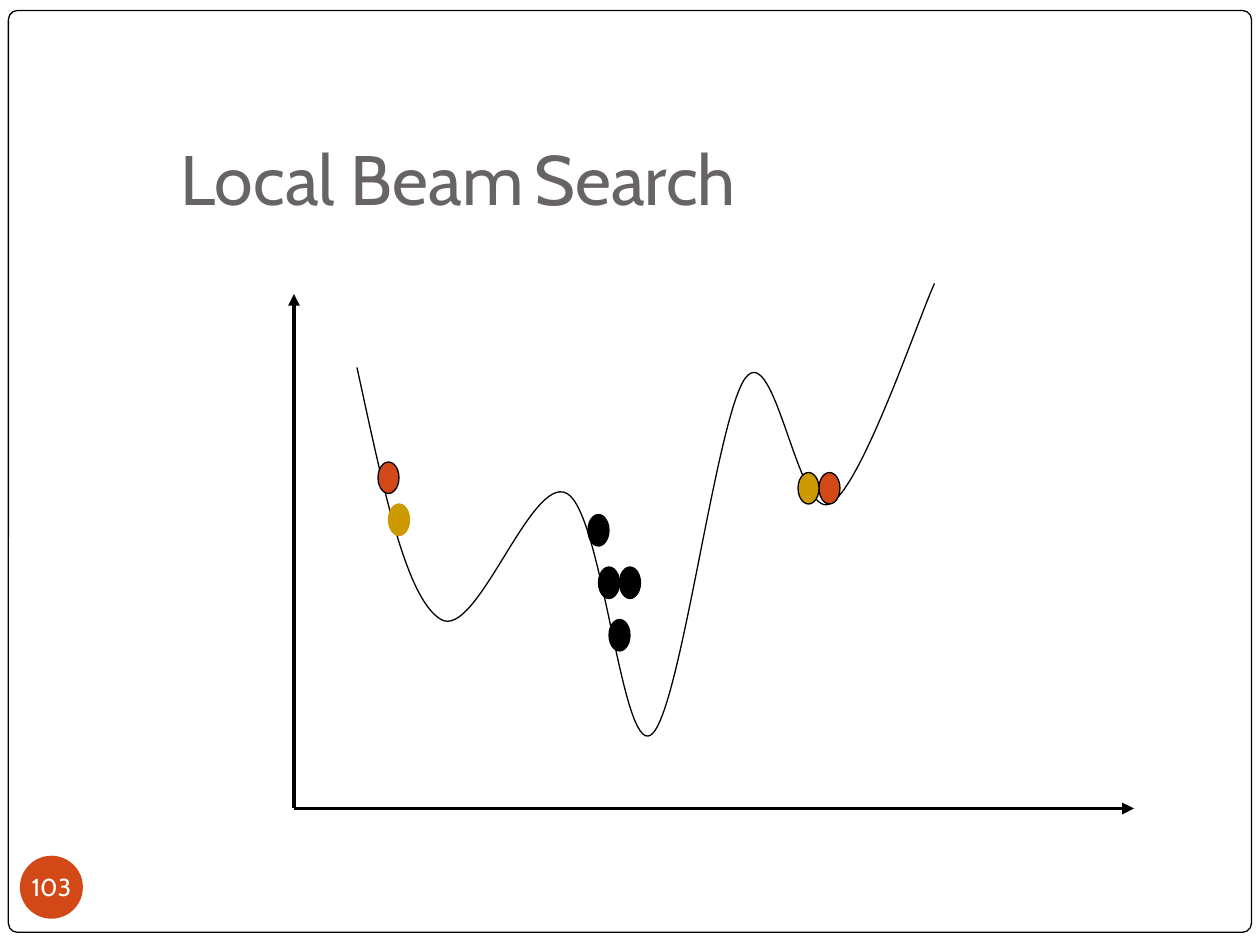
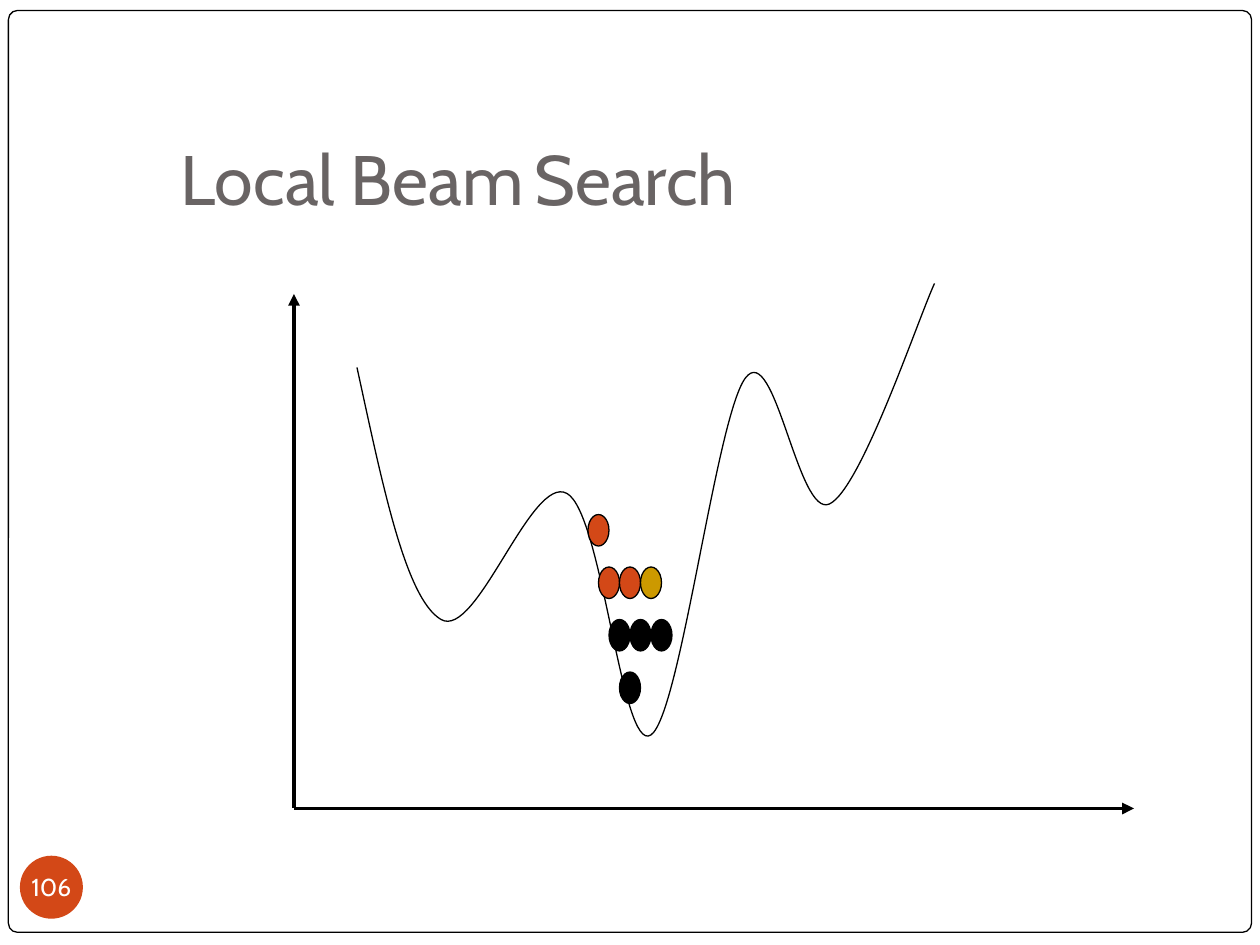
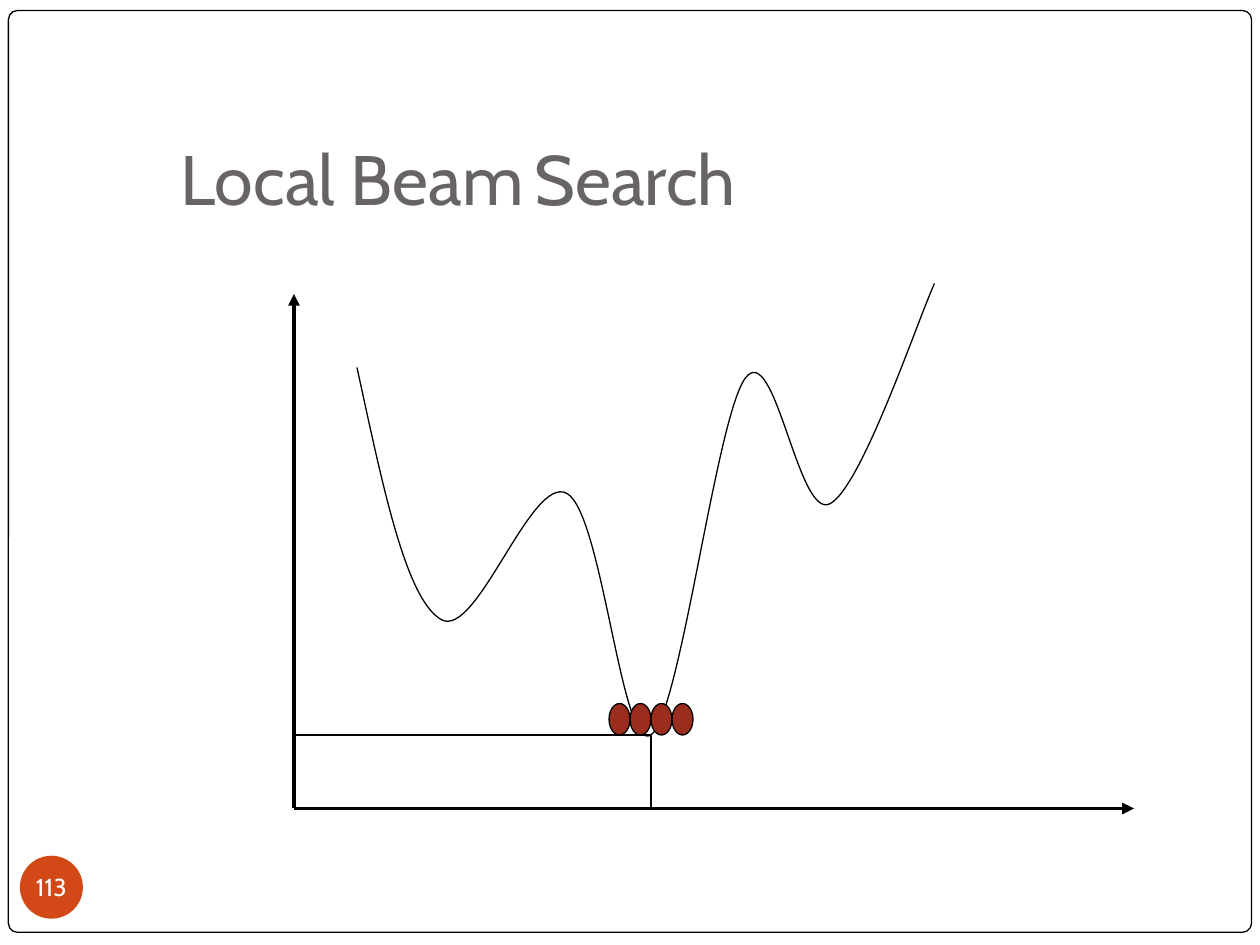
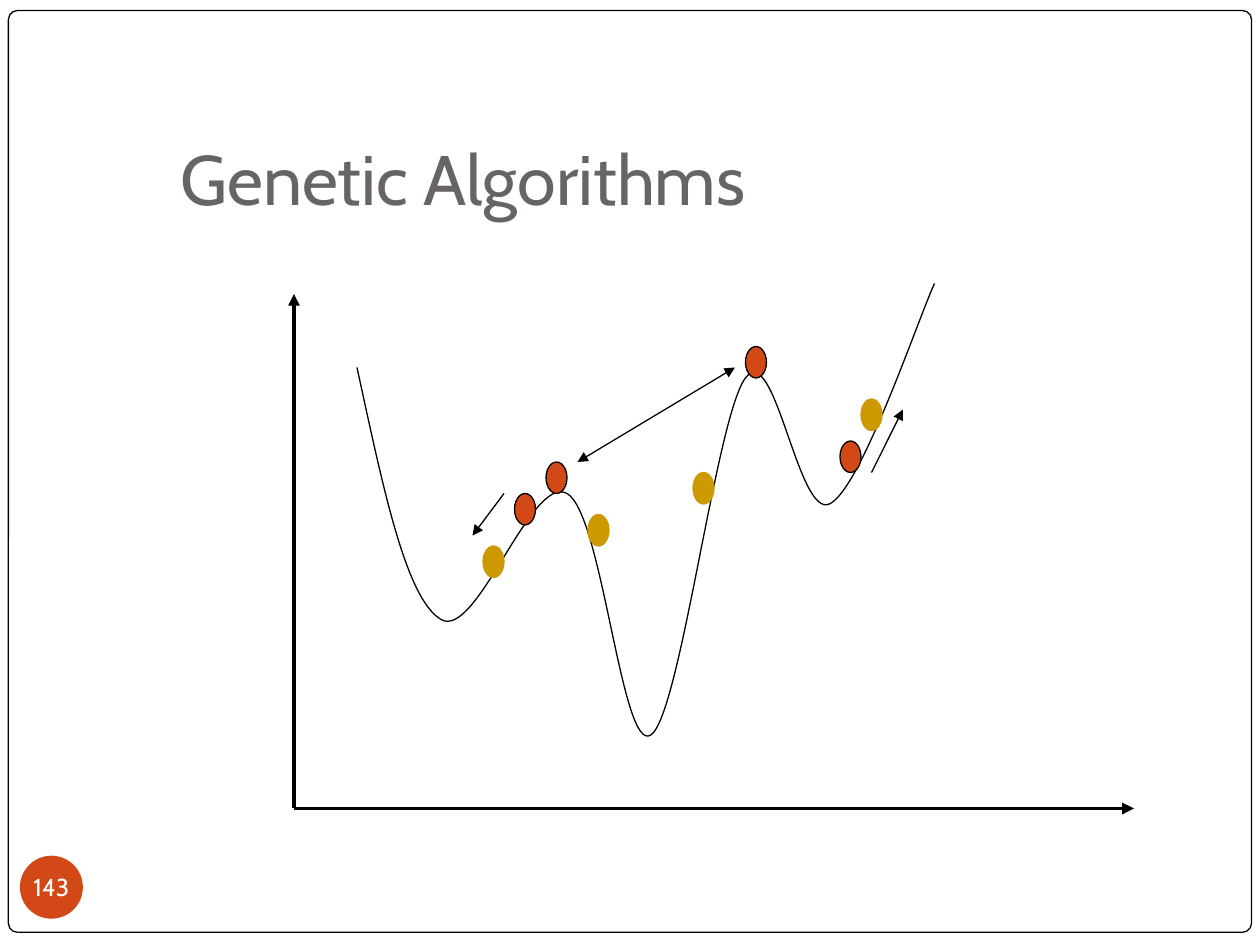
"""Builds four slides on local beam search and genetic algorithms over one cost curve."""
from dataclasses import dataclass

from lxml.etree import SubElement
from pptx import Presentation
from pptx.dml.color import RGBColor as RGB
from pptx.enum.shapes import MSO_CONNECTOR as Connector, MSO_SHAPE as Preset
from pptx.enum.text import MSO_ANCHOR as Anchor, MSO_AUTO_SIZE as AutoSize, PP_ALIGN as Align
from pptx.oxml.ns import qn
from pptx.util import Inches, Pt


@dataclass(frozen=True)
class Theme:
    font: str = "Cabin"
    ink: RGB = RGB(0x00, 0x00, 0x00)
    paper: RGB = RGB(0xFF, 0xFF, 0xFF)
    heading: RGB = RGB(0x69, 0x64, 0x64)
    orange: RGB = RGB(0xD3, 0x48, 0x17)
    gold: RGB = RGB(0xCC, 0x99, 0x00)
    brick: RGB = RGB(0x9B, 0x2D, 0x1F)
    title_size: Pt = Pt(40)
    gap_size: Pt = Pt(28)
    badge_size: Pt = Pt(14)
    thin: Pt = Pt(0.75)
    thick: Pt = Pt(2.25)


THEME = Theme()
COLUMNS, ROWS = 120, 90
TITLE_ONLY = 5
ORIGIN = (28, 77)
Y_TOP = (28, 28)
X_END = (108, 77)
GLOBAL_MINIMUM = (62, 70)
DOT = (2, 3)
COST_CURVE = [
    (34, 35),
    (36.4, 46), (38.6, 57), (42, 59),
    (45.4, 61), (50.6, 45.1), (54, 47),
    (57.4, 48.9), (59.2, 71.9), (62, 70),
    (64.8, 68.1), (68.2, 39.7), (71, 36),
    (73.8, 32.3), (76, 49.4), (79, 48),
    (82, 46.6), (87.4, 30.5), (89, 27),
]


class Deck:
    """Holds the theme, the grid and the current slide."""

    def __init__(self, theme):
        self.theme = theme
        self.show = Presentation()
        self.show.slide_width, self.show.slide_height = Inches(10), Inches(7.5)
        self.cell = self.show.slide_width // COLUMNS
        self.layout = self.show.slide_layouts[TITLE_ONLY]
        self.slide = None

    def grid(self, *cells):
        return [round(cell * self.cell) for cell in cells]

    def add_slide(self, title, number):
        first = self.slide is None
        self.slide = self.show.slides.add_slide(self.layout)
        if first:
            self.frame()
        self.title(title)
        self.badge(number)
        self.axes()
        self.curve(COST_CURVE)

    def shape(self, preset, box, fill, line=None):
        shape = self.slide.shapes.add_shape(preset, *self.grid(*box))
        shape.shadow.inherit = False
        shape.fill.solid()
        shape.fill.fore_color.rgb = fill
        if line is None:
            shape.line.fill.background()
        else:
            self.stroke(shape.line, line, self.theme.thin)
        return shape

    def stroke(self, line, color, width):
        line.color.rgb = color
        line.width = width

    def frame(self):
        """Draws the page border and moves it to the shared layout."""
        border = self.shape(Preset.ROUNDED_RECTANGLE, (0.8, 1, 118.4, 87.8),
                            self.theme.paper, self.theme.ink)
        border.adjustments[0] = 0.01
        border.element.nvSpPr.cNvPr.set("id", "99")
        self.layout.shapes.element.insert(2, border.element)

    def style(self, font, size, color):
        font.name = self.theme.font
        font.size = size
        font.color.rgb = color

    def title(self, words):
        """Fills the title; a small italic space parts its last word when given apart."""
        holder = self.slide.shapes.title
        holder.left, holder.top, holder.width, holder.height = self.grid(16, 11.3, 102.2, 10.8)
        frame = holder.text_frame
        frame.word_wrap = True
        frame.auto_size = AutoSize.NONE
        frame.vertical_anchor = Anchor.BOTTOM
        frame.margin_left = frame.margin_right = frame.margin_bottom = Inches(0.1)
        frame.margin_top = Inches(0.05)
        heading = frame.paragraphs[0]
        heading.alignment = Align.LEFT
        self.style(heading.font, self.theme.title_size, self.theme.heading)
        for index, word in enumerate(words):
            if index:
                gap = heading.add_run()
                gap.text = " "
                gap.font.size = self.theme.gap_size
                gap.font.italic = True
                gap.font.color.rgb = self.theme.brick
            heading.add_run().text = word

    def badge(self, number):
        circle = self.shape(Preset.OVAL, (1.9, 81.5, 6, 6), self.theme.orange)
        frame = circle.text_frame
        frame.margin_left = frame.margin_right = frame.margin_top = frame.margin_bottom = 0
        frame.word_wrap = False
        frame.vertical_anchor = Anchor.MIDDLE
        label = frame.paragraphs[0]
        label.text = str(number)
        label.alignment = Align.CENTER
        self.style(label.font, self.theme.badge_size, self.theme.paper)

    def line(self, start, end, width=None, head=False, tail=False):
        line = self.slide.shapes.add_connector(Connector.STRAIGHT, *self.grid(*start, *end))
        self.stroke(line.line, self.theme.ink, width or self.theme.thin)
        properties = line.element.spPr
        for tag, wanted in (("a:headEnd", head), ("a:tailEnd", tail)):
            if wanted:
                SubElement(properties.find(qn("a:ln")), qn(tag), type="triangle")
        SubElement(properties, qn("a:effectLst"))

    def axes(self):
        self.line(Y_TOP, ORIGIN, self.theme.thick, head=True)
        self.line(ORIGIN, X_END, self.theme.thick, tail=True)

    def curve(self, points):
        """Draws a start point followed by Bézier triples as one open outline."""
        start, *controls = [self.grid(*point) for point in points]
        builder = self.slide.shapes.build_freeform(*start)
        builder.add_line_segments(controls, close=False)
        outline = builder.convert_to_shape()
        outline.shadow.inherit = False
        outline.fill.background()
        self.stroke(outline.line, self.theme.ink, self.theme.thin)
        trace = next(outline.element.iter(qn("a:path")))
        segments = trace.findall(qn("a:lnTo"))
        for first in range(0, len(segments), 3):
            bezier = SubElement(trace, qn("a:cubicBezTo"))
            for segment in segments[first:first + 3]:
                bezier.append(segment[0])
                trace.remove(segment)

    def dots(self, fill, places, line=None):
        for place in places:
            self.shape(Preset.OVAL, (*place, *DOT), fill, line or self.theme.ink)


def main():
    deck = Deck(THEME)
    beam_title = ("Local Beam", "Search")

    deck.add_slide(beam_title, 103)
    deck.dots(THEME.ink, [(56, 49), (57, 54), (58, 59), (59, 54)])
    deck.dots(THEME.orange, [(36, 44), (78, 45)])
    deck.dots(THEME.gold, [(37, 48)], THEME.gold)
    deck.dots(THEME.gold, [(76, 45)])

    deck.add_slide(beam_title, 106)
    deck.dots(THEME.orange, [(56, 49), (57, 54), (59, 54)])
    deck.dots(THEME.gold, [(61, 54)])
    deck.dots(THEME.ink, [(58, 59), (60, 59), (62, 59), (59, 64)])

    deck.add_slide(beam_title, 113)
    deck.dots(THEME.brick, [(column, 67) for column in range(58, 66, 2)])
    column, row = GLOBAL_MINIMUM
    deck.line(GLOBAL_MINIMUM, (column, ORIGIN[1]))
    deck.line(GLOBAL_MINIMUM, (ORIGIN[0], row))

    deck.add_slide(("Genetic Algorithms",), 143)
    deck.dots(THEME.orange, [(49, 47), (80, 42), (52, 44), (71, 33)])
    deck.dots(THEME.gold, [(46, 52), (56, 49), (66, 45), (82, 38)], THEME.gold)
    deck.line((48, 47), (45, 51), tail=True)
    deck.line((83, 45), (86, 39), tail=True)
    deck.line((55, 44), (70, 35), head=True, tail=True)

    deck.show.save("out.pptx")


if __name__ == "__main__":
    main()
